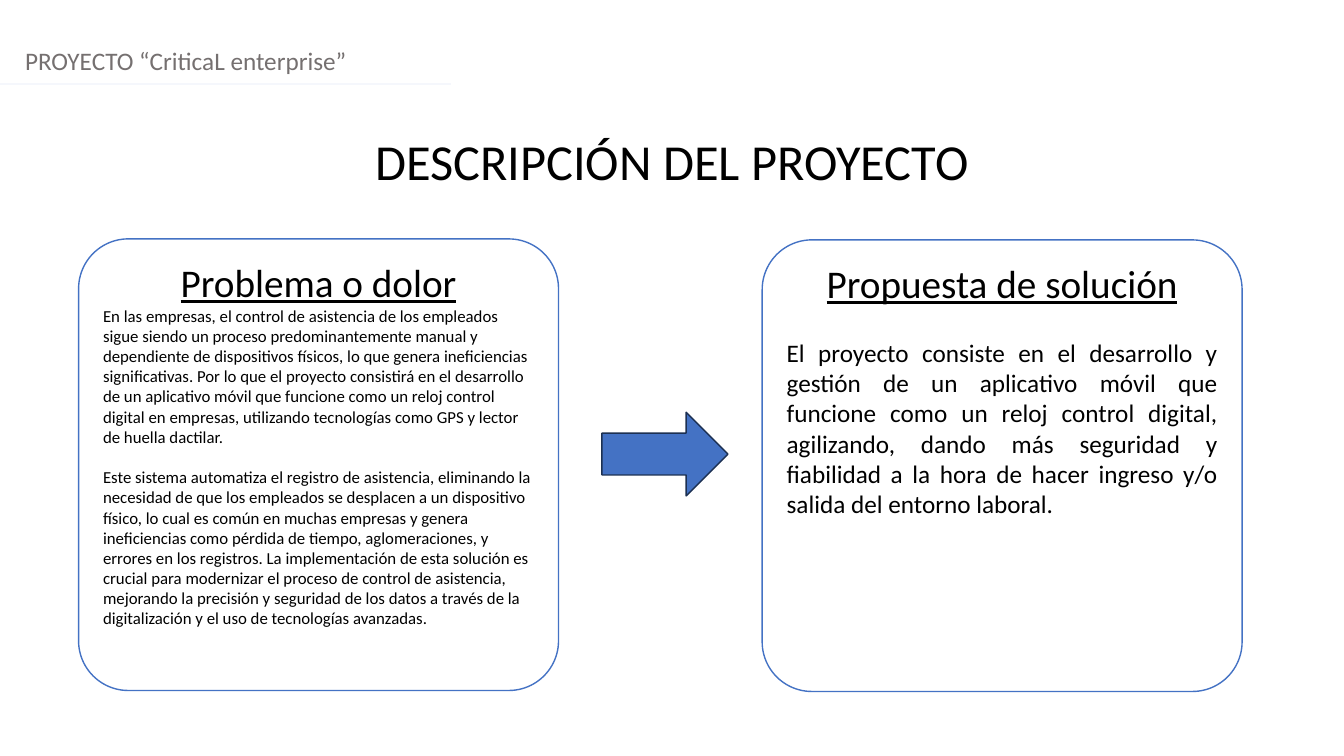
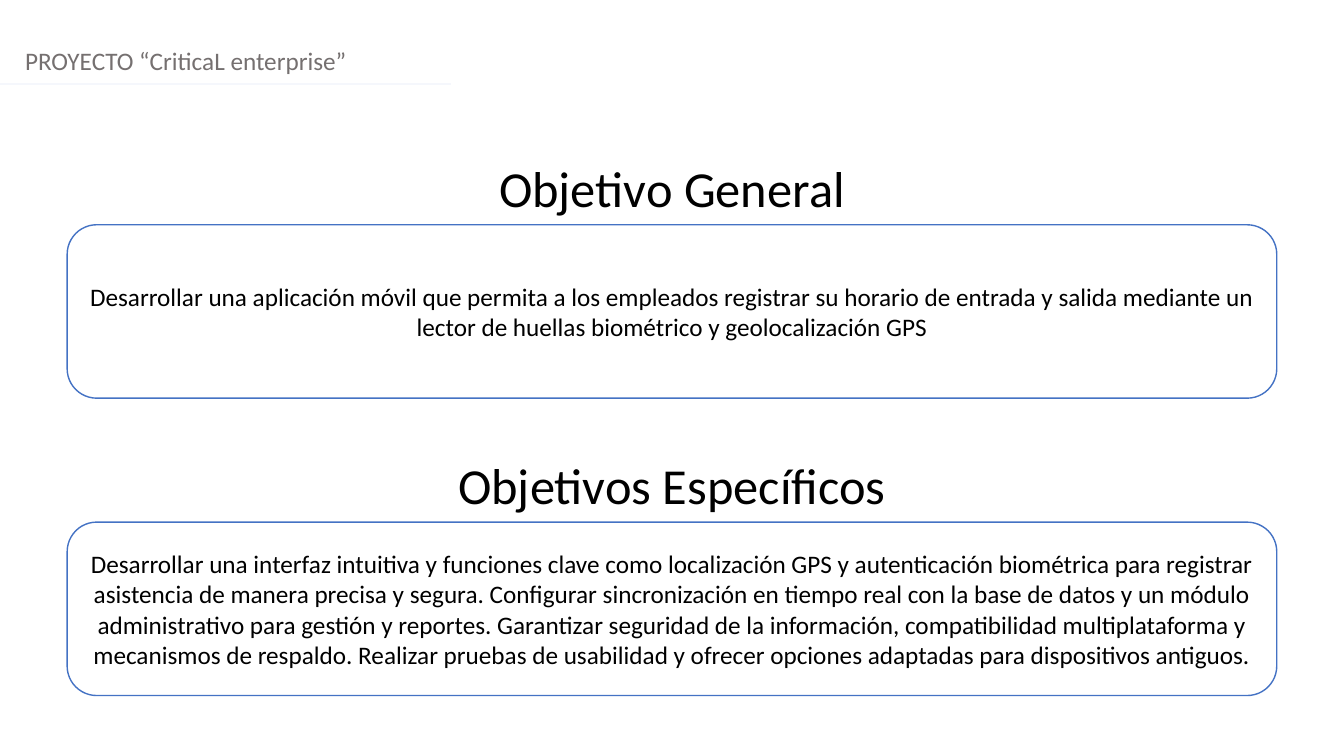
"""Build the project description and objectives slides."""
from lxml.etree import SubElement
from pptx import Presentation
from pptx.dml.color import RGBColor
from pptx.enum.shapes import MSO_CONNECTOR, MSO_SHAPE
from pptx.enum.text import MSO_ANCHOR, MSO_AUTO_SIZE, PP_ALIGN
from pptx.oxml.ns import qn
from pptx.util import Inches, Pt

WIDE, HIGH = 13.33, 7.5
FONT = "Calibri"
HEX = {"ink": "000000", "gray": "757070", "rule": "F5F7FC",
       "paper": "FFFFFF", "blue": "4472C4", "navy": "1C3052"}
LEFT, MID, JUST = PP_ALIGN.LEFT, PP_ALIGN.CENTER, PP_ALIGN.JUSTIFY

HEADER = "PROYECTO “CriticaL enterprise”"
TITLE = "DESCRIPCIÓN DEL PROYECTO"
CARDS = [
    ("Problema o dolor", LEFT, 12, 0, 14.6, [
        "En las empresas, el control de asistencia de los empleados sigue siendo un proceso "
        "predominantemente manual y dependiente de dispositivos físicos, lo que genera "
        "ineficiencias significativas. Por lo que el proyecto consistirá en el desarrollo de un "
        "aplicativo móvil que funcione como un reloj control digital en empresas, utilizando "
        "tecnologías como GPS y lector de huella dactilar.",
        "Este sistema automatiza el registro de asistencia, eliminando la necesidad de que los "
        "empleados se desplacen a un dispositivo físico, lo cual es común en muchas empresas y "
        "genera ineficiencias como pérdida de tiempo, aglomeraciones, y errores en los registros. "
        "La implementación de esta solución es crucial para modernizar el proceso de control de "
        "asistencia, mejorando la precisión y seguridad de los datos a través de la "
        "digitalización y el uso de tecnologías avanzadas."]),
    ("Propuesta de solución", JUST, 18, 22, 0, [
        "El proyecto consiste en el desarrollo y gestión de un aplicativo móvil que funcione como "
        "un reloj control digital, agilizando, dando más seguridad y fiabilidad a la hora de "
        "hacer ingreso y/o salida del entorno laboral."]),
]
GOALS = [
    ("Objetivo General",
     "Desarrollar una aplicación móvil que permita a los empleados registrar su horario de "
     "entrada y salida mediante un lector de huellas biométrico y geolocalización GPS"),
    ("Objetivos Específicos",
     "Desarrollar una interfaz intuitiva y funciones clave como localización GPS y autenticación "
     "biométrica para registrar asistencia de manera precisa y segura. Configurar sincronización "
     "en tiempo real con la base de datos y un módulo administrativo para gestión y reportes. "
     "Garantizar seguridad de la información, compatibilidad multiplataforma y mecanismos de "
     "respaldo. Realizar pruebas de usabilidad y ofrecer opciones adaptadas para dispositivos "
     "antiguos."),
]


def tint(name):
    return RGBColor.from_string(HEX[name])


def box(*sides):
    return [Inches(side) for side in sides]


def write(frame, paras, anchor=MSO_ANCHOR.TOP):
    frame.word_wrap = True
    frame.auto_size = MSO_AUTO_SIZE.NONE
    frame.vertical_anchor = anchor
    for i, (text, size, align, gap, color, under) in enumerate(paras):
        para = frame.add_paragraph() if i else frame.paragraphs[0]
        para.alignment = align
        para.space_before = Pt(gap)
        run = para.add_run()
        run.text = text
        font = run.font
        font.name, font.size, font.underline = FONT, Pt(size), under
        font.color.rgb = tint(color)


def label(slide, text, left, top, tall, size, align, color):
    area = slide.shapes.add_textbox(*box(left, top, WIDE, tall))
    write(area.text_frame, [(text, size, align, 0, color, False)])


def head(slide, text, top):
    title = slide.shapes.title
    if title.text_frame.text:
        label(slide, text, 0, top, 0.71, 36, MID, "ink")
        return
    title.left, title.top, title.width, title.height = box(0, top, WIDE, 0.71)
    write(title.text_frame, [(text, 36, MID, 0, "ink", False)])


def shape(slide, kind, place, fill, line):
    part = slide.shapes.add_shape(kind, *box(*place))
    part.shadow.inherit = False
    part.fill.solid()
    part.fill.fore_color.rgb = tint(fill)
    part.line.color.rgb = tint(line)
    part.line.width = Pt(1)
    return part


def panel(slide, place, curve, paras, anchor):
    part = shape(slide, MSO_SHAPE.ROUNDED_RECTANGLE, place, "paper", "blue")
    part.adjustments[0] = curve
    write(part.text_frame, paras, anchor)


def start(deck):
    slide = deck.slides.add_slide(deck.slide_layouts[5])
    label(slide, HEADER, 0.15, 0.4, 0.4, 18, LEFT, "gray")
    rule = slide.shapes.add_connector(MSO_CONNECTOR.STRAIGHT, *box(0, 0.83, 4.47, 0.83))
    rule.line.color.rgb = tint("rule")
    rule.line.width = Pt(1.25)
    SubElement(rule.element.spPr, qn("a:effectLst"))
    return slide


def about(deck):
    slide = start(deck)
    head(slide, TITLE, 1.24)
    for i, (name, align, size, lead, gap, texts) in enumerate(CARDS):
        paras = [(name, 28, MID, 0, "ink", True)]
        paras += [(text, size, align, gap if n else lead, "ink", False)
                  for n, text in enumerate(texts)]
        place = (0.78 + 6.78 * i, 2.37 + 0.01 * i, 4.76, 4.48)
        panel(slide, place, 0.11, paras, MSO_ANCHOR.TOP)
    shape(slide, MSO_SHAPE.RIGHT_ARROW, (5.97, 4.09, 1.25, 0.83), "blue", "navy")


def goals(deck):
    slide = start(deck)
    wide = WIDE * 0.9
    for i, (name, text) in enumerate(GOALS):
        top = 1.51 + 2.95 * i
        head(slide, name, top)
        place = ((WIDE - wide) / 2, top + 0.72, wide, 1.72)
        panel(slide, place, 0.17, [(text, 18, MID, 0, "ink", False)], MSO_ANCHOR.MIDDLE)


def main():
    deck = Presentation()
    deck.slide_width, deck.slide_height = box(WIDE, HIGH)
    about(deck)
    goals(deck)
    deck.save("out.pptx")


if __name__ == "__main__":
    main()
